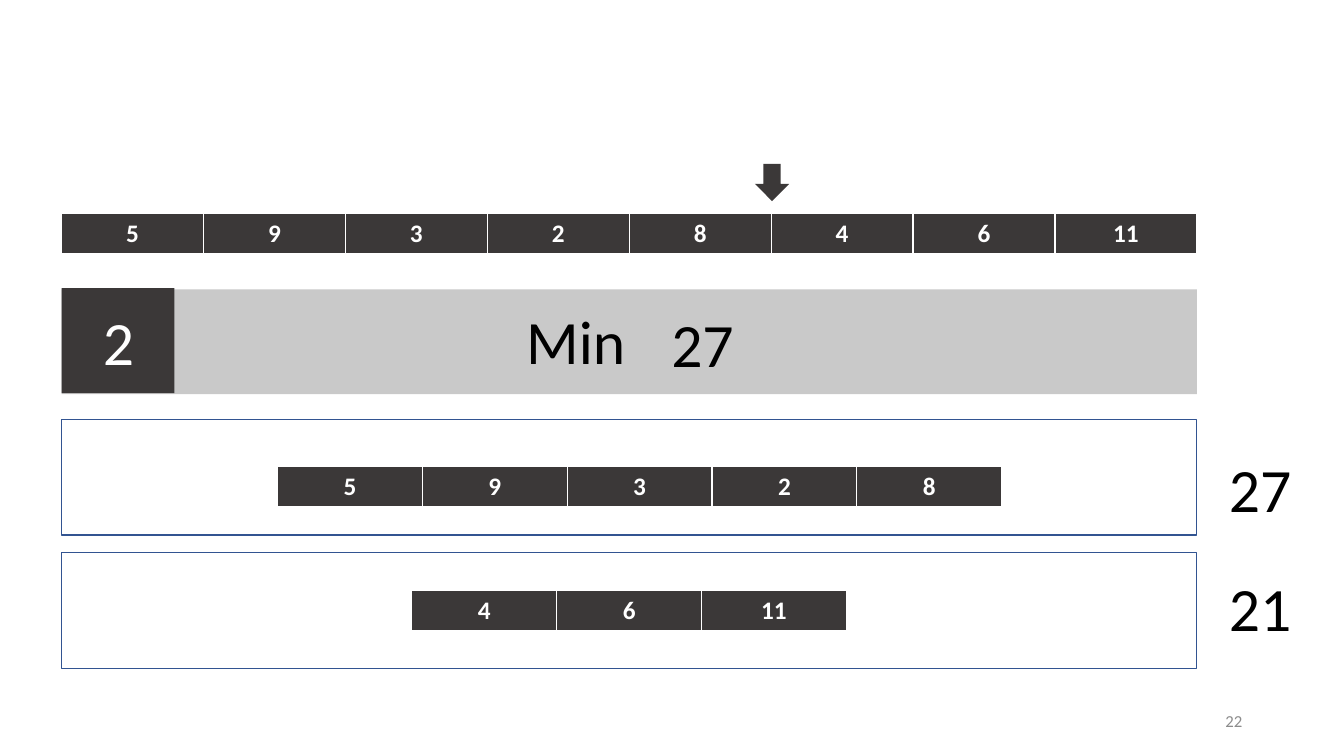
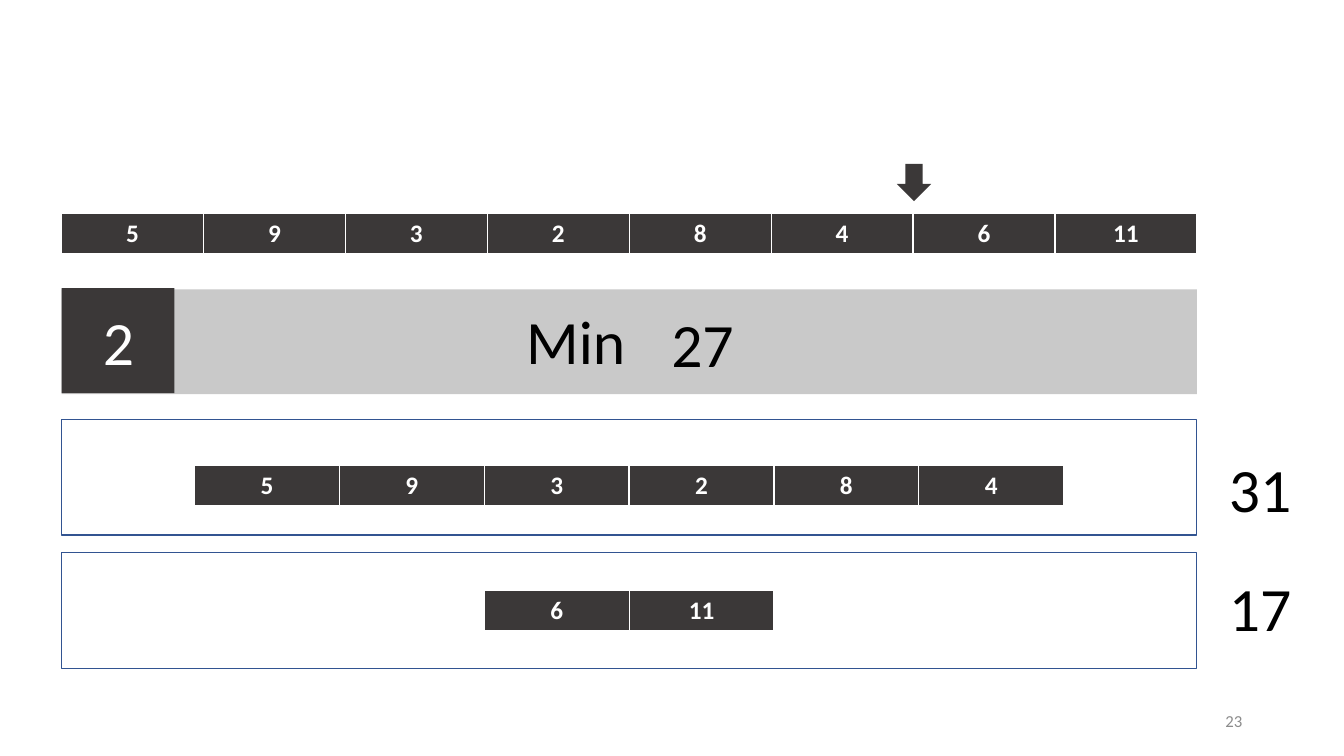
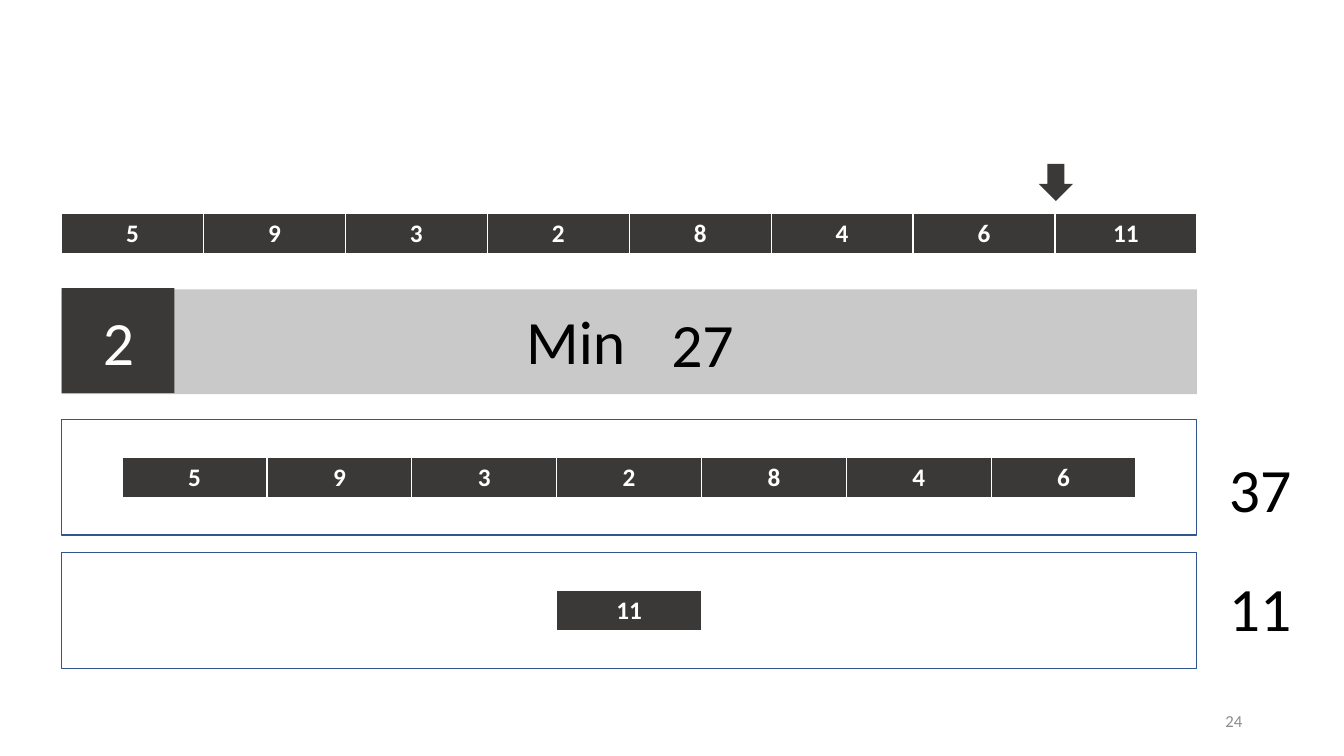
"""Build three slides that split a row of numbers in two and compare the sums."""
from dataclasses import dataclass

from lxml.etree import SubElement
from pptx import Presentation
from pptx.dml.color import RGBColor
from pptx.enum.shapes import MSO_SHAPE
from pptx.enum.text import MSO_ANCHOR, MSO_AUTO_SIZE, PP_ALIGN
from pptx.oxml.ns import qn
from pptx.util import Emu, Inches, Pt

HUES = {"dark": "3B3838", "band": "C9C9C9", "edge": "325491",
        "white": "FFFFFF", "black": "000000", "page": "8C8C8C"}
FONT = "Calibri"
WIDE, HIGH = Inches(13.33), Inches(7.5)
NUMS = [5, 9, 3, 2, 8, 4, 6, 11]
LEFT, SPAN = 4.58, 84.47
STEP = SPAN / len(NUMS)
TILE, ROW = 10.78, 5.47
BEST = 27
EDGES = {"lnL": 1, "lnR": 1, "lnT": 1, "lnB": 3}


@dataclass
class Box:
    x: float
    y: float
    w: float
    h: float

    def place(self) -> tuple[Emu, Emu, Emu, Emu]:
        return (Emu(round(WIDE * self.x / 100)), Emu(round(HIGH * self.y / 100)),
                Emu(round(WIDE * self.w / 100)), Emu(round(HIGH * self.h / 100)))


@dataclass
class Step:
    cut: int
    page: int
    top: float
    shift: float = 0


@dataclass
class Label:
    text: str
    box: Box
    hue: str = "black"
    size: int = 44
    align: PP_ALIGN = PP_ALIGN.LEFT
    grow: bool = True


STEPS = [Step(5, 22, 61.73, 0.78), Step(6, 23, 61.6), Step(7, 24, 60.53)]
FRAMES = [Box(LEFT, y, SPAN, 15.33) for y in (55.47, 73.07)]
BAND = Box(LEFT, 38.27, SPAN, 13.87)
BADGE = Box(LEFT, 38.13, 8.4, 13.87)


def tint(name: str) -> RGBColor:
    return RGBColor.from_string(HUES[name])


def style(para, size: int, hue: str, align: PP_ALIGN, bold: bool = False) -> None:
    para.alignment = align
    font = para.font
    font.name, font.size, font.bold = FONT, Pt(size), bold
    font.color.rgb = tint(hue)


def draw(slide, kind: MSO_SHAPE, box: Box, fill: str = "", line: str = "") -> None:
    shape = slide.shapes.add_shape(kind, *box.place())
    shape.shadow.inherit = False
    if fill:
        shape.fill.solid()
        shape.fill.fore_color.rgb = tint(fill)
    else:
        shape.fill.background()
    if line:
        shape.line.color.rgb = tint(line)
        shape.line.width = Pt(1)
    else:
        shape.line.fill.background()


def write(slide, label: Label) -> None:
    frame = slide.shapes.add_textbox(*label.box.place()).text_frame
    frame.word_wrap = True
    if label.grow:
        frame.auto_size = MSO_AUTO_SIZE.SHAPE_TO_FIT_TEXT
    else:
        frame.vertical_anchor = MSO_ANCHOR.MIDDLE
    para = frame.paragraphs[0]
    para.text = label.text
    style(para, label.size, label.hue, label.align)


def border(cell) -> None:
    props = cell._tc.get_or_add_tcPr()
    for tag, size in EDGES.items():
        line = SubElement(props, qn(f"a:{tag}"), w=str(Pt(size)))
        fill = SubElement(line, qn("a:solidFill"))
        SubElement(fill, qn("a:srgbClr"), val=HUES["white"])


def tiles(slide, nums: list[int], mid: float, top: float, width: float = TILE) -> None:
    span = width * len(nums)
    box = Box(mid - span / 2, top, span, ROW)
    table = slide.shapes.add_table(1, len(nums), *box.place()).table
    table.first_row = table.horz_banding = False
    for cell, num in zip(table.rows[0].cells, nums):
        border(cell)
        cell.fill.solid()
        cell.fill.fore_color.rgb = tint("dark")
        para = cell.text_frame.paragraphs[0]
        para.text = str(num)
        style(para, 18, "white", PP_ALIGN.CENTER, True)


def build(slide, step: Step) -> None:
    mid = LEFT + SPAN / 2
    parts = NUMS[:step.cut], NUMS[step.cut:]
    spots = (mid + step.shift, step.top), (mid, 78.13)
    for frame, nums, spot, top in zip(FRAMES, parts, spots, (58.93, 74.67)):
        draw(slide, MSO_SHAPE.RECTANGLE, frame, line="edge")
        tiles(slide, nums, *spot)
        write(slide, Label(str(sum(nums)), Box(90.7, top, 6.98, 11.2)))
    draw(slide, MSO_SHAPE.RECTANGLE, BAND, fill="band")
    draw(slide, MSO_SHAPE.RECTANGLE, BADGE, fill="dark")
    for label in (
        Label(str(BEST), Box(49.21, 39.87, 6.98, 11.2)),
        Label("Min", Box(38.41, 39.47, 9.23, 11.2)),
        Label("2", Box(5.33, 39.6, 6.98, 11.2), "white", align=PP_ALIGN.CENTER),
        Label(str(step.page), Box(70.67, 92.67, 22.5, 5.33), "page", 12,
              PP_ALIGN.RIGHT, False),
    ):
        write(slide, label)
    tiles(slide, NUMS, mid, 28.27, STEP)
    arrow = Box(LEFT + step.cut * STEP - 1.2, 21.67, 2.55, 4.93)
    draw(slide, MSO_SHAPE.DOWN_ARROW, arrow, fill="dark")


def main() -> None:
    deck = Presentation()
    deck.slide_width, deck.slide_height = WIDE, HIGH
    for step in STEPS:
        build(deck.slides.add_slide(deck.slide_layouts[6]), step)
    deck.save("out.pptx")


if __name__ == "__main__":
    main()
